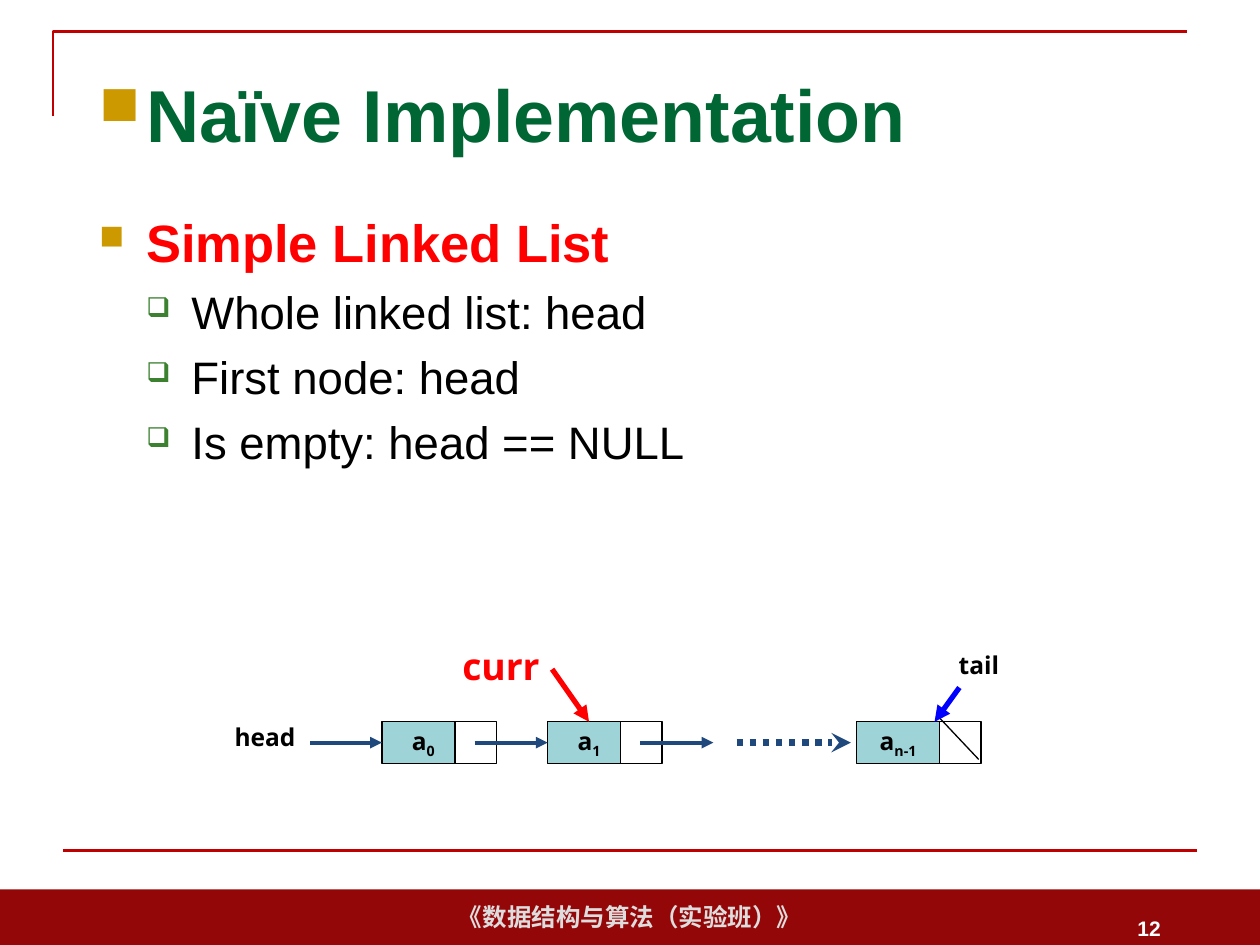
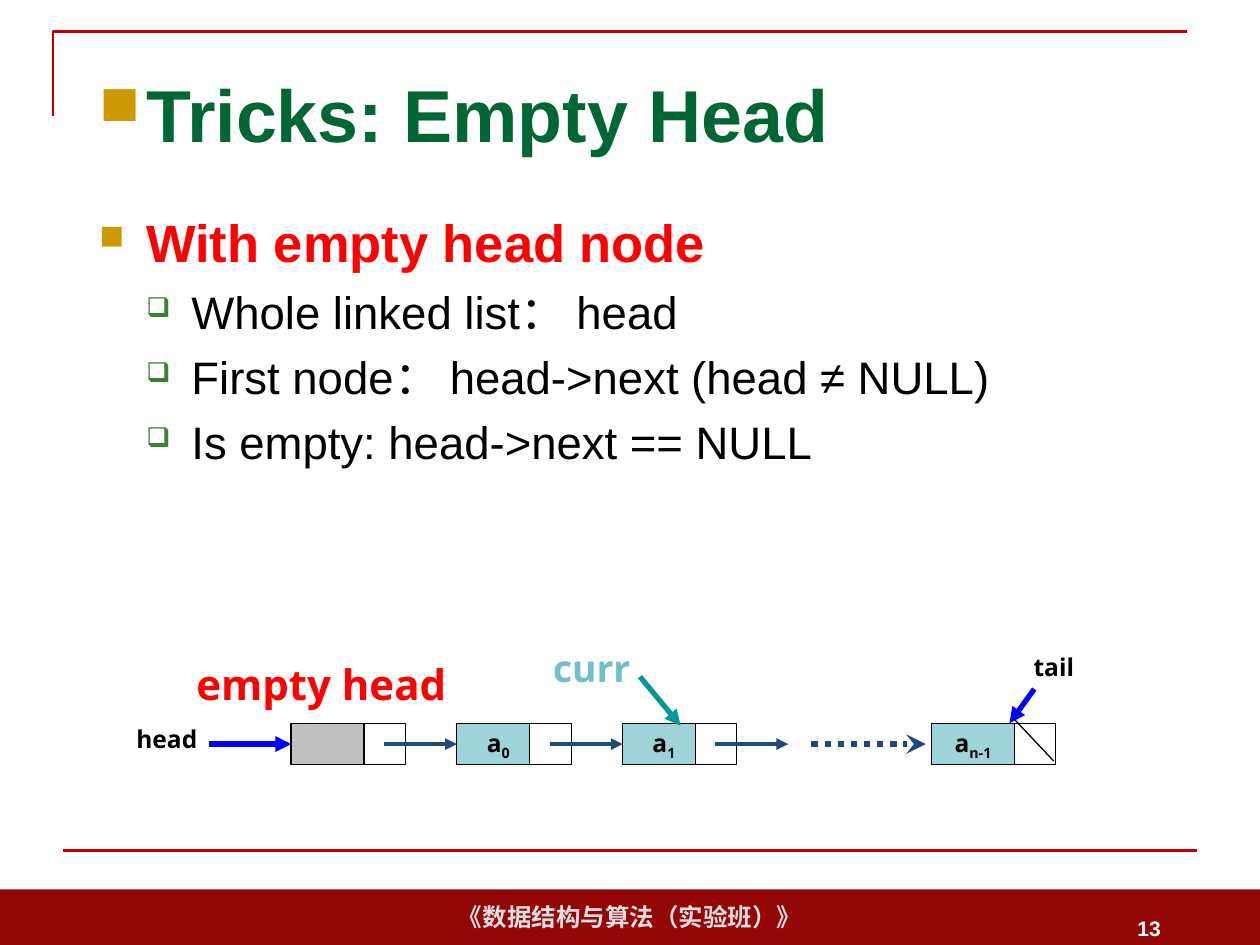
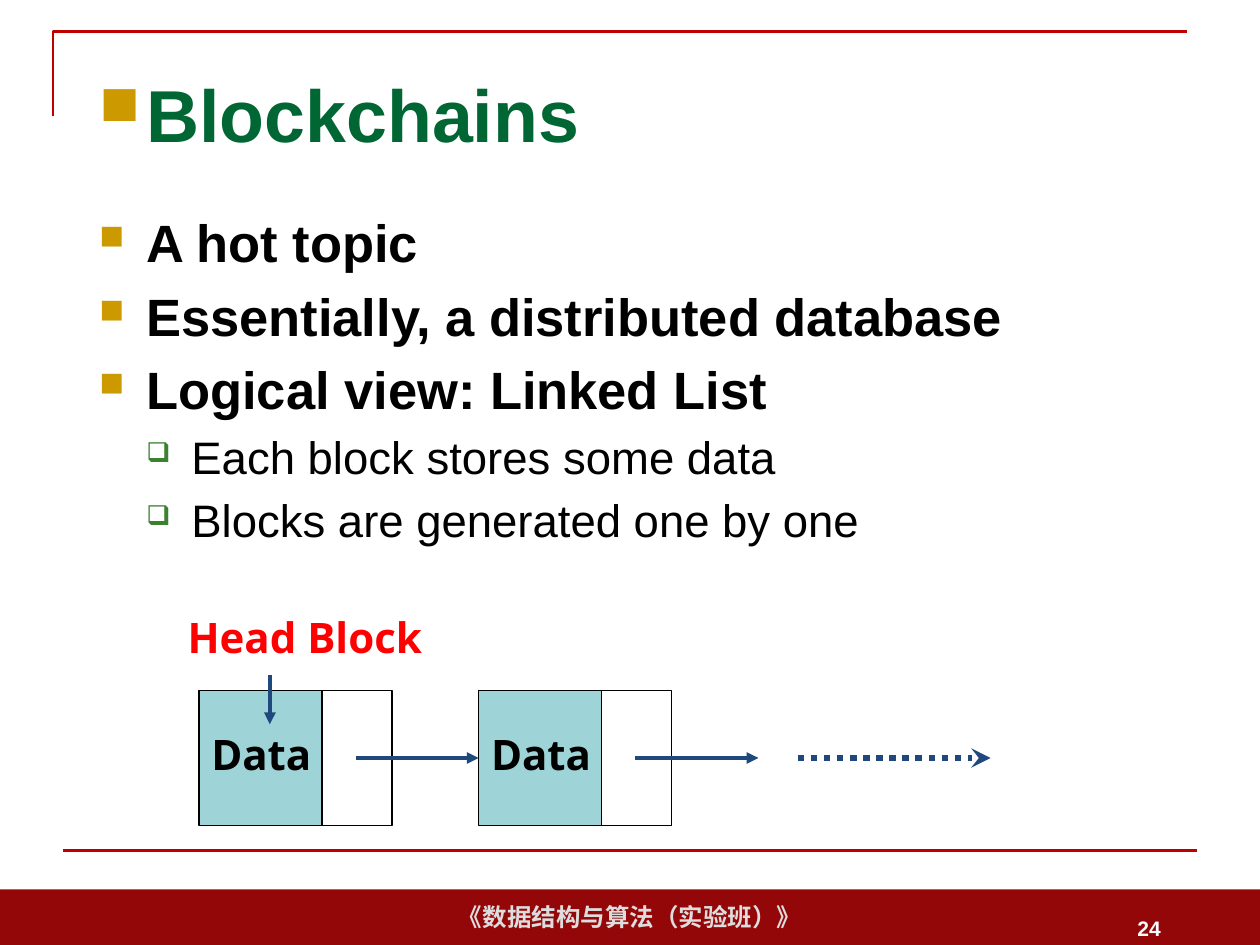
from lxml.etree import SubElement
from pptx import Presentation
from pptx.dml.color import RGBColor
from pptx.enum.dml import MSO_LINE
from pptx.enum.shapes import MSO_CONNECTOR, MSO_SHAPE
from pptx.enum.text import MSO_ANCHOR as Anchor, PP_ALIGN as Align
from pptx.oxml.ns import qn
from pptx.util import Cm, Pt

WHITE = RGBColor(0xFF, 0xFF, 0xFF)
BLACK = RGBColor(0x00, 0x00, 0x00)
RED = RGBColor(0xFF, 0x00, 0x00)
BLUE = RGBColor(0x00, 0x00, 0xFF)
NAVY = RGBColor(0x1F, 0x49, 0x7D)
TEAL = RGBColor(0x00, 0x99, 0x99)
LIGHT_TEAL = RGBColor(0x72, 0xBF, 0xC5)
AQUA = RGBColor(0x9E, 0xD3, 0xD7)
GRAY = RGBColor(0xC0, 0xC0, 0xC0)
PALE_GRAY = RGBColor(0xDD, 0xDD, 0xDD)
GREEN = RGBColor(0x00, 0x66, 0x33)
BULLET_GREEN = RGBColor(0x3B, 0x81, 0x2F)
GOLD = RGBColor(0xCC, 0x99, 0x00)
CRIMSON = RGBColor(0xC0, 0x00, 0x00)
MAROON = RGBColor(0x94, 0x07, 0x09)

BODY_FONT = "Arial"
DIAGRAM_FONT = "Open Sans"
COURSE = "《数据结构与算法（实验班）》"


def write(paragraph, text, size, font=BODY_FONT, color=BLACK, bold=True,
          align=Align.LEFT, subscript=False):
    paragraph.alignment = align
    run = paragraph.add_run()
    run.text = text
    run.font.size = Pt(size)
    run.font.name = font
    run.font.bold = bold
    run.font.color.rgb = color
    if subscript:
        run._r.get_or_add_rPr().set("baseline", "-25000")


def add_bullet(paragraph, character, color, percent, margin, hanging):
    properties = paragraph._p.get_or_add_pPr()
    properties.set("marL", str(Cm(margin)))
    properties.set("indent", str(-Cm(hanging)))
    bullet_color = SubElement(properties, qn("a:buClr"))
    SubElement(bullet_color, qn("a:srgbClr"), val=str(color))
    SubElement(properties, qn("a:buSzPct"), val=str(percent * 1000))
    SubElement(properties, qn("a:buFont"), typeface="Wingdings")
    SubElement(properties, qn("a:buChar"), char=character)


class Deck:
    def __init__(self):
        self.presentation = Presentation()
        self.presentation.slide_width = Cm(25.4)
        self.presentation.slide_height = Cm(19.05)
        self.slide = None

    def new_slide(self, title, number):
        layout = self.presentation.slide_layouts[6]
        self.slide = self.presentation.slides.add_slide(layout)
        band = self.rectangle(0, 17.93, 25.4, 1.12, MAROON, outlined=False)
        write(band.text_frame.paragraphs[0], COURSE, 14, color=PALE_GRAY, align=Align.CENTER)
        self.corner()
        self.line((1.27, 17.15), (24.13, 17.15), CRIMSON, 1.5)
        heading = self.text_box(1.75, 1.02, 21.92, 2.51, Anchor.MIDDLE).paragraphs[0]
        write(heading, title, 42, color=GREEN)
        add_bullet(heading, "n", GOLD, 75, 0.95, 0.95)
        page = self.text_box(17.93, 18.21, 5.72, 1.02, Anchor.MIDDLE).paragraphs[0]
        write(page, str(number), 12, color=WHITE, align=Align.RIGHT)

    def corner(self):
        builder = self.slide.shapes.build_freeform(Cm(1.07), Cm(2.34))
        builder.add_line_segments([(Cm(1.07), Cm(0.64)), (Cm(23.93), Cm(0.64))], close=False)
        shape = builder.convert_to_shape()
        shape.shadow.inherit = False
        shape.fill.background()
        shape.line.color.rgb = CRIMSON
        shape.line.width = Pt(1.5)

    def rectangle(self, x, y, width, height, fill, outlined=True):
        shape = self.slide.shapes.add_shape(
            MSO_SHAPE.RECTANGLE, Cm(x), Cm(y), Cm(width), Cm(height))
        shape.shadow.inherit = False
        shape.fill.solid()
        shape.fill.fore_color.rgb = fill
        if outlined:
            shape.line.color.rgb = BLACK
            shape.line.width = Pt(0.75)
        else:
            shape.line.fill.background()
        shape.text_frame.vertical_anchor = Anchor.MIDDLE
        return shape

    def text_box(self, x, y, width, height, anchor=Anchor.TOP):
        box = self.slide.shapes.add_textbox(Cm(x), Cm(y), Cm(width), Cm(height))
        box.text_frame.word_wrap = True
        box.text_frame.vertical_anchor = anchor
        return box.text_frame

    def label(self, text, x, y, width, height, size=14, color=BLACK,
              align=Align.CENTER, spacing=0.8):
        paragraph = self.text_box(x, y, width, height).paragraphs[0]
        paragraph.line_spacing = spacing
        write(paragraph, text, size, DIAGRAM_FONT, color, align=align)

    def line(self, start, end, color, width, head=None, dash=None, target=None, side=1):
        connector = self.slide.shapes.add_connector(
            MSO_CONNECTOR.STRAIGHT, *map(Cm, start + end))
        if target is not None:
            connector.end_connect(target, side)
        connector.line.color.rgb = color
        connector.line.width = Pt(width)
        if dash:
            connector.line.dash_style = dash
        if head:
            SubElement(connector.line._get_or_add_ln(), qn("a:tailEnd"), type=head)
        SubElement(connector._element.spPr, qn("a:effectLst"))

    def arrow(self, start, end, color=NAVY, width=2.25, **options):
        self.line(start, end, color, width, head="triangle", **options)

    def bullets(self, items, sub_spacing=6):
        frame = self.text_box(1.75, 4.11, 21.9, 13.08)
        for index, (level, text, color) in enumerate(items):
            paragraph = frame.add_paragraph() if index else frame.paragraphs[0]
            paragraph.level = level
            paragraph.space_before = Pt(sub_spacing if level else 6)
            if level:
                write(paragraph, text, 26, color=color, bold=False)
                add_bullet(paragraph, "q", BULLET_GREEN, 60, 1.86, 0.91)
            else:
                write(paragraph, text, 30, color=color)
                add_bullet(paragraph, "n", GOLD, 65, 0.95, 0.95)

    def node(self, x, y, width, height, name, index="", size=14,
             align=Align.CENTER, pointer=0.88, fill=AQUA):
        data = self.rectangle(x, y, width, height, fill)
        if name:
            paragraph = data.text_frame.paragraphs[0]
            paragraph.line_spacing = 0.8
            write(paragraph, name, size, DIAGRAM_FONT, align=align)
            if index:
                write(paragraph, index, size, DIAGRAM_FONT, align=align, subscript=True)
        self.rectangle(x + pointer * width, y, width / 2, height, WHITE)
        return data

    def chain(self, x, y, width, height, nodes):
        step = 2 * width
        middle = y + height / 2
        cells = [self.node(x + step * place, y, width, height, **options)
                 for place, options in enumerate(nodes)]
        for place, target in enumerate(cells[1:] + [None]):
            left = x + step * place
            self.arrow((left + 1.12 * width, middle), (left + step, middle), target=target)
        self.line((left + 2.28 * width, middle), (left + 3.66 * width, middle),
                  NAVY, 3.75, head="stealth", dash=MSO_LINE.ROUND_DOT)
        return cells

    def linked_list(self, x, y, nodes, last_x, head_gap, head_color, head_width, label_gap):
        cells = self.chain(x, y, 1.67, 0.84, nodes)
        self.node(last_x, y, 1.67, 0.84, "a", "n-1", pointer=1)
        self.line((last_x + 1.65, y - 0.1), (last_x + 2.46, y + 0.76), BLACK, 0.75)
        self.arrow((x - head_gap, y + 0.42), (x, y + 0.42), head_color, head_width,
                   target=cells[0])
        self.label("head", x - label_gap, y, 2.51, 0.74)
        self.arrow((last_x + 2.07, y - 0.69), (last_x + 1.57, y), BLUE, 3)
        self.label("tail", last_x + 0.79, y - 1.45, 3.35, 0.74)
        return cells


def main():
    deck = Deck()
    first_items = [dict(name="a", index="0"), dict(name="a", index="1")]

    deck.new_slide("Naïve Implementation", 12)
    deck.bullets([
        (0, "Simple Linked List", RED),
        (1, "Whole linked list: head", BLACK),
        (1, "First node: head", BLACK),
        (1, "Is empty: head == NULL", BLACK),
    ])
    cells = deck.linked_list(7.7, 14.55, first_items, 17.27, 1.45, NAVY, 2.25, 3.61)
    deck.label("curr", 9.07, 12.85, 2.36, 1.17, 21.3, RED, Align.LEFT, 1)
    deck.arrow((11.13, 13.49), (11.84, 14.58), RED, 3, target=cells[1], side=0)

    deck.new_slide("Tricks: Empty Head", 13)
    deck.bullets([
        (0, "With empty head node", RED),
        (1, "Whole linked list： head", BLACK),
        (1, "First node： head->next (head ≠ NULL)", BLACK),
        (1, "Is empty: head->next == NULL", BLACK),
    ])
    deck.linked_list(5.87, 14.58, [dict(name="", fill=GRAY)] + first_items,
                     18.78, 1.65, BLUE, 3, 3.76)
    deck.arrow((12.9, 13.64), (13.72, 14.63), TEAL, 3)
    deck.label("empty head", 3.71, 13.16, 6.35, 1.27, 24, RED, Align.LEFT, 1)
    deck.label("curr", 10.9, 12.88, 2.36, 1.17, 21.3, LIGHT_TEAL, Align.LEFT, 1)

    deck.new_slide("Blockchains", 24)
    deck.bullets([
        (0, "A hot topic", BLACK),
        (0, "Essentially, a distributed database", BLACK),
        (0, "Logical view: Linked List", BLACK),
        (1, "Each block stores some data", BLACK),
        (1, "Blocks are generated one by one", BLACK),
    ], sub_spacing=5)
    block = dict(name="Data", size=24, align=Align.LEFT)
    deck.chain(4.01, 13.92, 2.82, 2.72, [block, block])
    deck.label("Head Block", 2.97, 12.4, 6.35, 1.07, 24, RED)
    deck.arrow((5.44, 13.61), (5.44, 14.6))

    deck.presentation.save("out.pptx")


if __name__ == "__main__":
    main()
